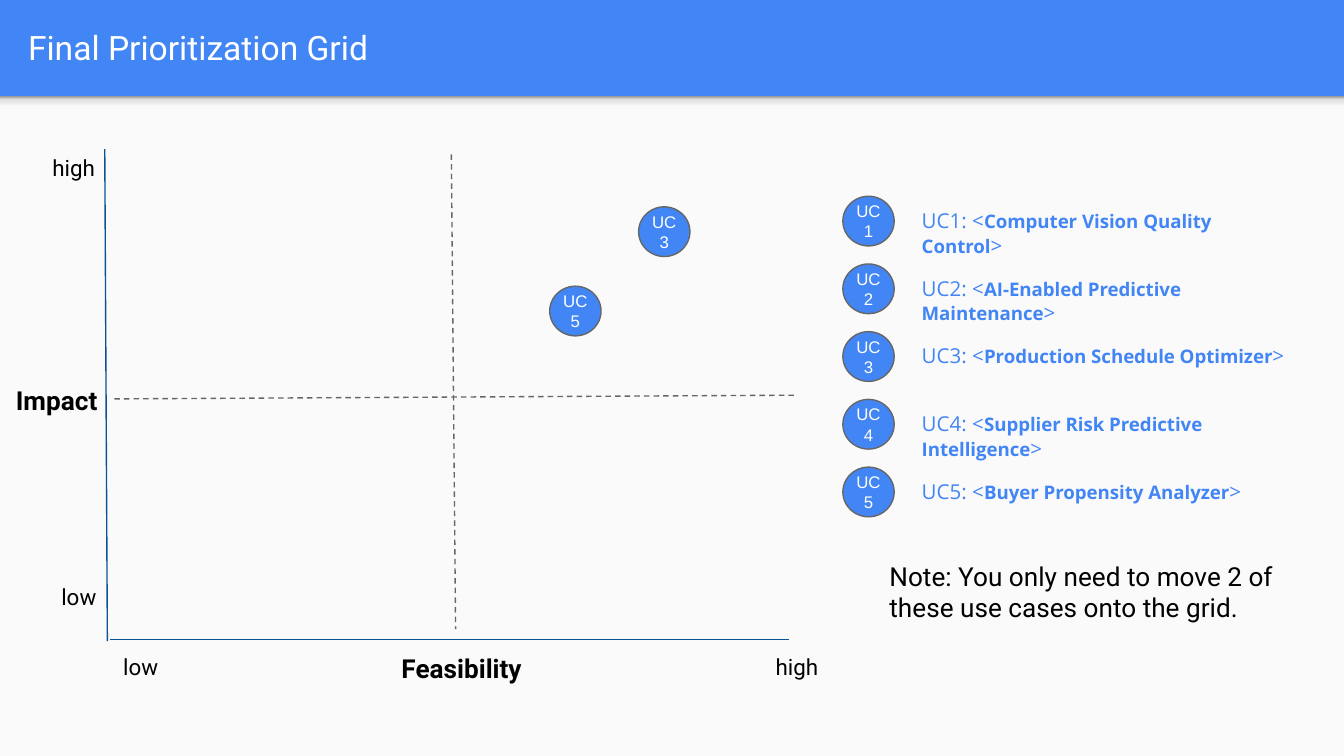
import pptx
import pptx.util
import pptx.dml.color
import pptx.enum.dml
import pptx.enum.shapes
import pptx.enum.text
import pptx.oxml
import pptx.oxml.ns

Cm, Pt = pptx.util.Cm, pptx.util.Pt
KINDS = pptx.enum.shapes.MSO_SHAPE
ALIGN = pptx.enum.text.PP_ALIGN
ANCHOR = pptx.enum.text.MSO_ANCHOR

HUES = {"blue": "4285F4", "navy": "0B5394", "gray": "666666",
        "pale": "FAFAFA", "white": "FFFFFF", "black": "000000"}
DISC = (0.97, 0.94)
CASES = ["Computer Vision Quality Control", "AI-Enabled Predictive Maintenance",
         "Production Schedule Optimizer", "Supplier Risk Predictive Intelligence",
         "Buyer Propensity Analyzer"]


def hue(name):
    return pptx.dml.color.RGBColor.from_string(HUES[name])


def add_run(para, text, size, font, tint, bold=False):
    run = para.add_run()
    run.text = text
    run.font.size = Pt(size)
    run.font.name = font
    run.font.bold = bold
    run.font.color.rgb = hue(tint)


def set_frame(frame, pad, anchor, align):
    frame.word_wrap = True
    frame.auto_size = pptx.enum.text.MSO_AUTO_SIZE.NONE
    frame.margin_left = frame.margin_right = Cm(pad)
    frame.margin_top = frame.margin_bottom = Cm(pad)
    frame.vertical_anchor = anchor
    para = frame.paragraphs[0]
    para.alignment = align
    return para


def add_text(slide, box, runs, align=ALIGN.LEFT):
    shape = slide.shapes.add_textbox(*map(Cm, box))
    para = set_frame(shape.text_frame, 0.25, ANCHOR.TOP, align)
    for run in runs:
        add_run(para, *run)


def add_block(slide, kind, box, fill):
    shape = slide.shapes.add_shape(kind, *map(Cm, box))
    shape.shadow.inherit = False
    shape.fill.solid()
    shape.fill.fore_color.rgb = hue(fill)
    shape.line.fill.background()
    return shape


def add_line(slide, ends, tint, dash=False):
    line = slide.shapes.add_connector(
        pptx.enum.shapes.MSO_CONNECTOR.STRAIGHT, *map(Cm, ends))
    line.line.width = Pt(0.75)
    line.line.color.rgb = hue(tint)
    if dash:
        line.line.dash_style = pptx.enum.dml.MSO_LINE.DASH
    props = line._element.spPr
    props.append(props.makeelement(pptx.oxml.ns.qn("a:effectLst"), {}))


def add_disc(slide, left, top, num):
    disc = add_block(slide, KINDS.OVAL, (left, top, *DISC), "blue")
    disc.line.color.rgb = hue("gray")
    disc.line.width = Pt(0.75)
    para = set_frame(disc.text_frame, 0, ANCHOR.MIDDLE, ALIGN.CENTER)
    add_run(para, "UC", 9, "Arial", "white")
    para.add_line_break()
    add_run(para, str(num), 9, "Arial", "white")


def add_shade(slide, box):
    shade = add_block(slide, KINDS.RECTANGLE, box, "pale")
    stops = [(0, "F9F9F9"), (36, "F9F9F9"), (80, "DEDEDE"), (100, "999999")]
    marks = "".join(
        f'<a:gs pos="{pos * 1000}"><a:srgbClr val="{tone}"/></a:gs>'
        for pos, tone in stops)
    grad = pptx.oxml.parse_xml(
        f'<a:gradFill {pptx.oxml.ns.nsdecls("a")}><a:gsLst>{marks}</a:gsLst>'
        '<a:lin ang="16200000" scaled="0"/></a:gradFill>')
    props = shade._element.spPr
    solid = props.find(pptx.oxml.ns.qn("a:solidFill"))
    props.replace(solid, grad)


def draw_head(slide, box):
    left, top, width, height = box
    slide.background.fill.solid()
    slide.background.fill.fore_color.rgb = hue("blue")
    add_block(slide, KINDS.RECTANGLE,
              (left, top + height, width, 14.29 - height), "pale")
    add_shade(slide, (left, top + height, width, 0.3))
    title = slide.shapes.title
    title.left, title.top = Cm(left + 0.28), Cm(top + 0.05)
    title.width, title.height = Cm(width - 0.89), Cm(height - 0.15)
    para = set_frame(title.text_frame, 0.25, ANCHOR.MIDDLE, ALIGN.LEFT)
    add_run(para, "Final Prioritization Grid", 18, "Roboto", "white")


def draw_grid(slide, box):
    left, top, width, height = box
    base = height - 0.01
    lines = [(6.53, 0.12, 6.61, 9.09, "gray", True),
             (0.16, 4.74, width, 4.67, "gray", True),
             (-0.02, 0.02, 0.03, height + 0.02, "navy", False),
             (width - 0.1, base, 0.08, base, "navy", False)]
    for x1, y1, x2, y2, tint, dash in lines:
        ends = (left + x1, top + y1, left + x2, top + y2)
        add_line(slide, ends, tint, dash)
    names = [("Impact", -1.95, 4.21, 2.11, 14, ALIGN.LEFT),
             ("Feasibility", 2.32, base, 8.81, 14, ALIGN.CENTER),
             ("high", -1.26, -0.13, 2.08, 12, ALIGN.LEFT),
             ("low", 0.08, base, 1.7, 12, ALIGN.LEFT),
             ("low", -1.09, 7.97, 1.7, 12, ALIGN.LEFT),
             ("high", width - 0.6, base, 2.08, 12, ALIGN.LEFT)]
    for text, x, y, wide, size, align in names:
        add_text(slide, (left + x, top + y, wide, 1.14),
                 [(text, size, "Roboto", "black", size == 14)], align)
    for num, x, y in [(3, 10.07, 1.11), (5, 8.39, 2.61)]:
        add_disc(slide, left + x, top + y, num)


def draw_list(slide, box):
    left, top, width, height = box
    step = height / len(CASES)
    for num, case in enumerate(CASES, 1):
        row = top + (num - 1) * step
        add_disc(slide, left, row, num)
        add_text(slide, (left + 1.24, row - 0.03, width - 1.24, 1.14),
                 [(f"UC{num}: <", 11, "Open Sans", "blue"),
                  (case, 10, "Open Sans", "blue", True),
                  (">", 11, "Open Sans", "blue")])


def draw_note(slide, box):
    text = "Note: You only need to move 2 of these use cases onto the grid."
    add_text(slide, box, [(text, 14, "Roboto", "black")])


deck = pptx.Presentation()
deck.slide_width, deck.slide_height = Cm(25.4), Cm(14.29)
page = deck.slides.add_slide(deck.slide_layouts[5])
draw_head(page, (0, 0, 25.4, 1.82))
draw_grid(page, (2, 2.8, 13.01, 9.3))
draw_list(page, (15.93, 3.71, 8.78, 6.4))
draw_note(page, (16.56, 10.34, 8.23, 3.05))
deck.save("out.pptx")
